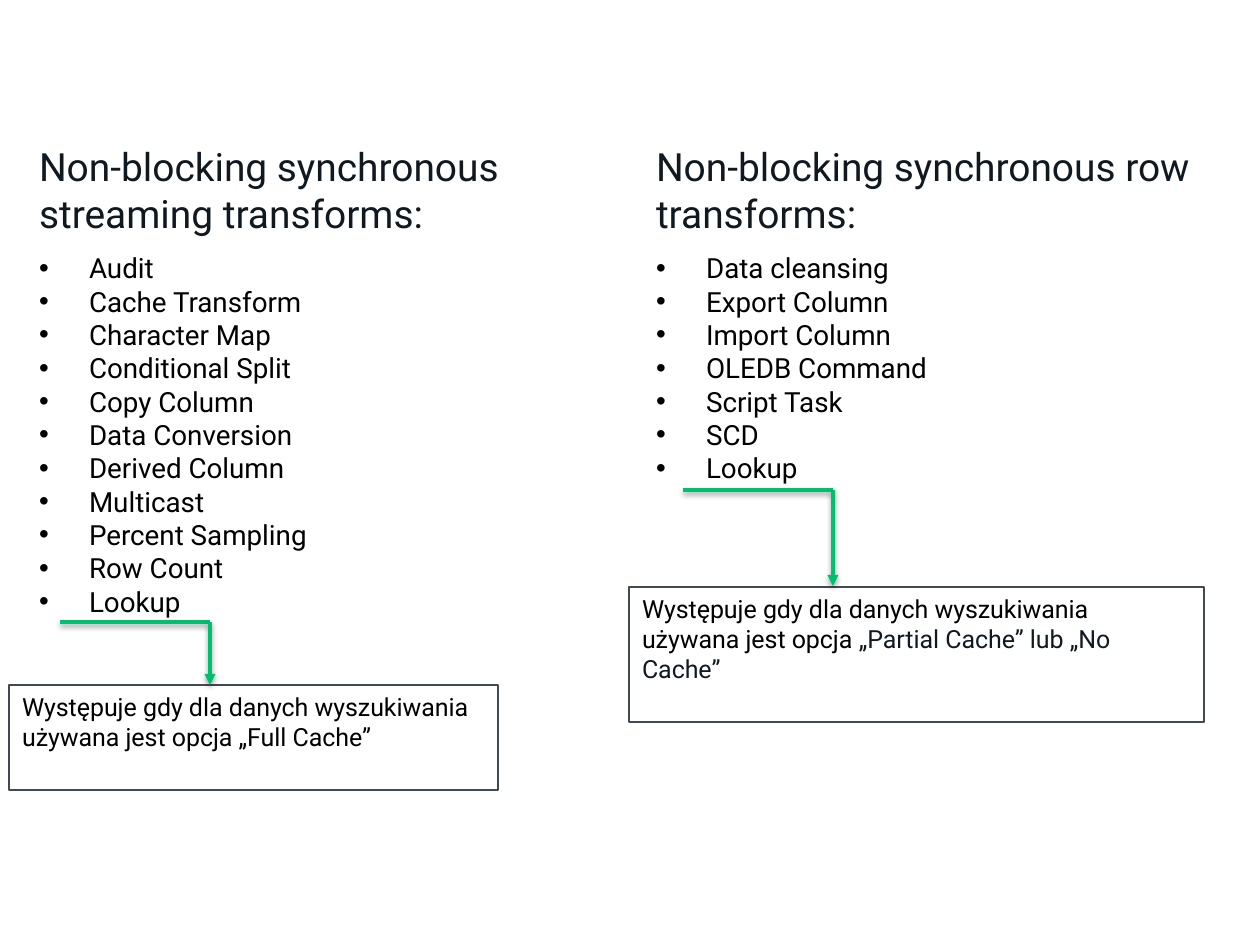
from lxml import etree
from pptx import Presentation
from pptx import util as u
from pptx.dml.color import RGBColor
from pptx.enum import shapes, text
from pptx.oxml.ns import qn

# Content
INK, BLACK, GREEN, GREY = "101820", "000000", "00BF6F", "414A54"
FONT = "Roboto"
COLUMNS = [
    dict(
        heading="Non-blocking synchronous streaming transforms:",
        items=["Audit", "Cache Transform", "Character Map", "Conditional Split",
               "Copy Column", "Data Conversion", "Derived Column", "Multicast",
               "Percent Sampling", "Row Count", "Lookup"],
        body=(39, 143, 591, 480), insets=(0, 27),
        note=[("Występuje gdy dla danych wyszukiwania używana jest opcja "
               "„Full Cache”", BLACK)],
        box=(9, 685, 489, 105), rule=(60, 622), arrow_end=685,
    ),
    dict(
        heading="Non-blocking synchronous row transforms:",
        items=["Data cleansing", "Export Column", "Import Column", "OLEDB Command",
               "Script Task", "SCD", "Lookup"],
        body=(630, 143, 591, 396), insets=(26, 0),
        note=[("Występuje gdy dla danych wyszukiwania używana jest opcja ", BLACK),
              ("„Partial Cache” lub „No Cache”", INK)],
        box=(629, 587, 575, 135), rule=(683, 490), arrow_end=586,
    ),
]
RULE_WIDTH = 150
BULLET_INDENT = 50


def px(n):
    return u.Emu(n * 6858)


def color(value):
    return RGBColor.from_string(value)


def put(obj, **values):
    for name, value in values.items():
        setattr(obj, name, value)


def add_run(p, words, size, ink):
    r = p.add_run()
    r.text = words
    put(r.font, name=FONT, size=u.Pt(size))
    r.font.color.rgb = color(ink)


def set_bullet(p, char=None):
    pPr = p._p.get_or_add_pPr()
    indent = px(BULLET_INDENT) if char else 0
    pPr.set("marL", str(indent))
    pPr.set("indent", str(-indent))
    if char:
        etree.SubElement(pPr, qn("a:buChar")).set("char", char)
    else:
        etree.SubElement(pPr, qn("a:buNone"))


def add_line(s, start, end, arrow=False):
    line = s.shapes.add_connector(
        shapes.MSO_CONNECTOR.STRAIGHT, *map(px, start + end))
    line.line.color.rgb = color(GREEN)
    line.line.width = u.Pt(2)
    if arrow:
        etree.SubElement(line.line._ln, qn("a:tailEnd")).set("type", "triangle")
    effects = etree.SubElement(line._element.spPr, qn("a:effectLst"))
    shadow = etree.SubElement(
        effects, qn("a:outerShdw"), blurRad=str(u.Pt(3.1)), dist=str(u.Pt(1.6)),
        dir="5400000", rotWithShape="0")
    black = etree.SubElement(shadow, qn("a:srgbClr"), val=BLACK)
    etree.SubElement(black, qn("a:alpha"), val="38000")


def fill_body(sp, column):
    left, top, width, height = map(px, column["body"])
    put(sp, left=left, top=top, width=width, height=height)
    tf = sp.text_frame
    inset_left, inset_right = map(px, column["insets"])
    put(tf, margin_left=inset_left, margin_right=inset_right, margin_top=0,
        margin_bottom=0, word_wrap=True, auto_size=text.MSO_AUTO_SIZE.NONE,
        vertical_anchor=text.MSO_ANCHOR.TOP)
    p = tf.paragraphs[0]
    p.space_before = u.Pt(0)
    set_bullet(p)
    add_run(p, column["heading"], 21, INK)
    for i, item in enumerate(column["items"]):
        p = tf.add_paragraph()
        p.space_before = u.Pt(0 if i else 8)
        set_bullet(p, "•")
        add_run(p, item, 15, BLACK)


def add_note(s, column):
    sp = s.shapes.add_shape(
        shapes.MSO_SHAPE.RECTANGLE, *map(px, column["box"]))
    sp.shadow.inherit = False
    sp.fill.background()
    sp.line.color.rgb = color(GREY)
    sp.line.width = u.Pt(0.75)
    tf = sp.text_frame
    put(tf, word_wrap=True, vertical_anchor=text.MSO_ANCHOR.TOP)
    p = tf.paragraphs[0]
    p.alignment = text.PP_ALIGN.LEFT
    for words, ink in column["note"]:
        add_run(p, words, 13.5, ink)


def main():
    prs = Presentation()
    put(prs, slide_width=px(1260), slide_height=px(945))
    # Two-content layout without its title
    s = prs.slides.add_slide(prs.slide_layouts[3])
    title, *bodies = s.placeholders
    title._element.getparent().remove(title._element)

    for sp, column in zip(bodies, COLUMNS):
        # List of transforms
        fill_body(sp, column)
        # Boxed note
        add_note(s, column)
        # Underline of the last item and arrow down to the note
        x, y = column["rule"]
        corner = (x + RULE_WIDTH, y)
        add_line(s, (x, y), corner)
        add_line(s, corner, (corner[0], column["arrow_end"]), arrow=True)

    prs.save("out.pptx")


if __name__ == "__main__":
    main()
